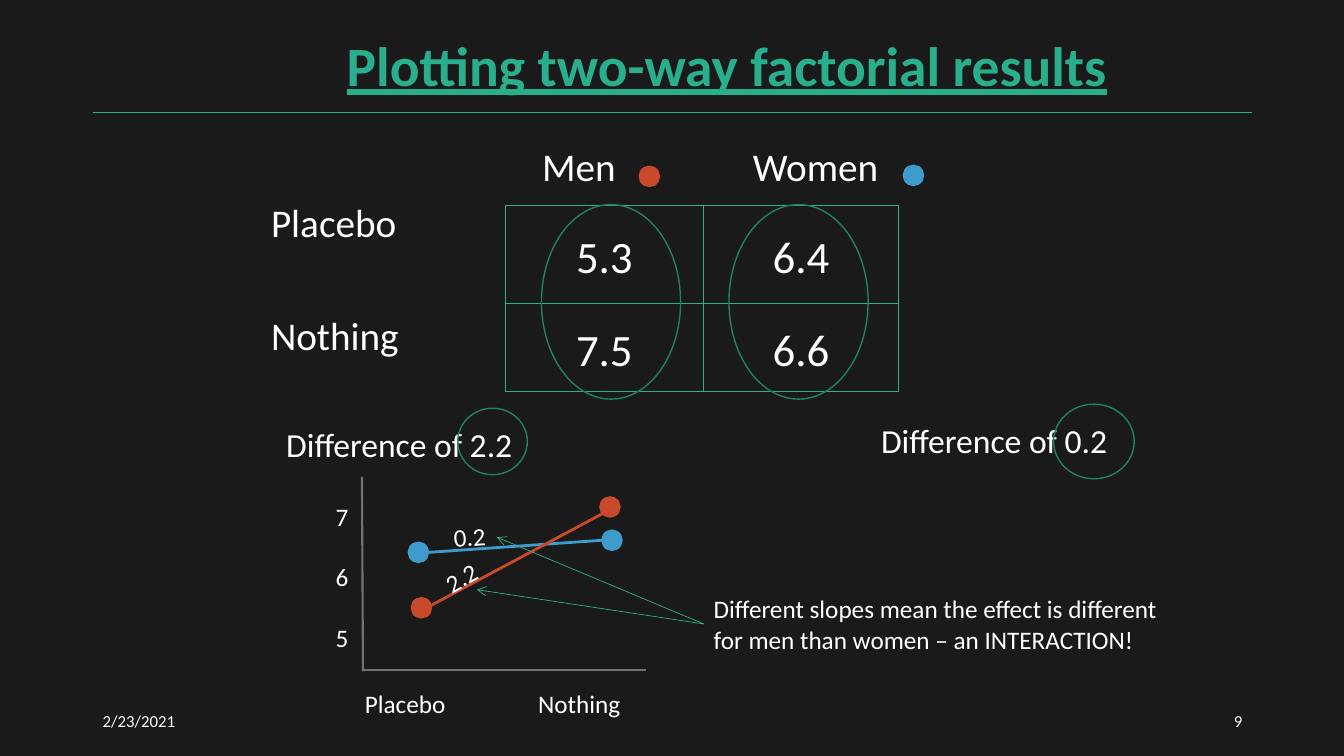
import pptx
import pptx.util
import pptx.dml.color
import pptx.enum.shapes
import pptx.enum.text
import pptx.oxml
import pptx.oxml.ns

SCALE = 9144  # EMU in one px, at 100 px to the inch
ALIGN = pptx.enum.text.PP_ALIGN
ANCHOR = pptx.enum.text.MSO_ANCHOR
SHAPE = pptx.enum.shapes.MSO_SHAPE


class Theme:
    font = "Calibri"
    ground, ink = "1A1A1A", "FFFFFF"
    green, ring, axis = "29AF8C", "1E8168", "767171"
    men, women = "C9492C", "3D9CCC"
    title, value, head, gap, note, foot = 39.6, 32, 28, 24, 18, 12
    thin, edge, frame, trend = 0.5, 1, 1.5, 2


def px(count):
    return pptx.util.Emu(count * SCALE)


def color(code):
    return pptx.dml.color.RGBColor.from_string(code)


def write(frame, text, size=Theme.note, ink=Theme.ink, bold=False, under=False,
          align=ALIGN.LEFT, anchor=ANCHOR.TOP, space=1.0):
    frame.text = text
    frame.word_wrap = True
    frame.vertical_anchor = anchor
    para = frame.paragraphs[0]
    para.alignment = align
    para.line_spacing = space
    font = para.font
    font.name, font.size = Theme.font, pptx.util.Pt(size)
    font.bold, font.underline = bold, under
    font.color.rgb = color(ink)


def label(slide, text, left, top, width, height, turn=0, **style):
    box = slide.shapes.add_textbox(px(left), px(top), px(width), px(height))
    box.rotation = turn
    write(box.text_frame, text, **style)


def line(slide, start, end, ink=Theme.green, weight=Theme.thin, arrow=False):
    link = slide.shapes.add_connector(
        pptx.enum.shapes.MSO_CONNECTOR.STRAIGHT, *map(px, start + end))
    link.line.color.rgb = color(ink)
    link.line.width = pptx.util.Pt(weight)
    if arrow:
        tail = pptx.oxml.ns.qn("a:tailEnd")
        link.line._get_or_add_ln().makeelement(tail)
        link.line._get_or_add_ln().append(pptx.oxml.parse_xml(
            f'<a:tailEnd {pptx.oxml.ns.nsdecls("a")} type="arrow"/>'))
    link._element.spPr.append(pptx.oxml.parse_xml(
        f'<a:effectLst {pptx.oxml.ns.nsdecls("a")}/>'))


def oval(slide, left, top, width, height, ink, solid=False):
    shape = slide.shapes.add_shape(
        SHAPE.OVAL, px(left), px(top), px(width), px(height))
    shape.shadow.inherit = False
    shape.line.color.rgb = color(ink)
    shape.line.width = pptx.util.Pt(Theme.edge)
    if solid:
        shape.fill.solid()
        shape.fill.fore_color.rgb = color(ink)
    else:
        shape.fill.background()


def dot(slide, left, top, ink):
    oval(slide, left, top, 20, 20, ink, solid=True)


def border(cell):
    """Draw a thin green line on all four sides of a cell."""
    props = cell._tc.get_or_add_tcPr()
    width = pptx.util.Pt(Theme.thin)
    for place, side in enumerate(("lnL", "lnR", "lnT", "lnB")):
        props.insert(place, pptx.oxml.parse_xml(
            f'<a:{side} {pptx.oxml.ns.nsdecls("a")} w="{width}"><a:solidFill>'
            f'<a:srgbClr val="{Theme.green}"/></a:solidFill></a:{side}>'))


def table(slide, left, top, widths, heights, rows):
    grid = slide.shapes.add_table(
        len(rows), len(widths), px(left), px(top),
        px(sum(widths)), px(sum(heights))).table
    grid.first_row = grid.horz_banding = False
    for column, width in zip(grid.columns, widths):
        column.width = px(width)
    for row, height, texts in zip(grid.rows, heights, rows):
        row.height = px(height)
        for cell, text in zip(row.cells, texts):
            write(cell.text_frame, text, size=Theme.value, align=ALIGN.CENTER)
            cell.vertical_anchor = ANCHOR.MIDDLE
            cell.margin_top = px(10)
            cell.margin_bottom = px(2)
            cell.fill.background()
            border(cell)


def top_part(slide):
    line(slide, (92, 111), (1242, 111))
    title = slide.shapes.title
    title.left, title.top, title.width, title.height = map(px, (276, 30, 890, 76))
    title.fill.solid()
    title.fill.fore_color.rgb = color(Theme.ground)
    write(title.text_frame, "Plotting two-way factorial results",
          size=Theme.title, ink=Theme.green, bold=True, under=True,
          align=ALIGN.CENTER, anchor=ANCHOR.MIDDLE, space=0.9)


def means(slide):
    for text, left, top in (("Men", 528, 136), ("Women", 737, 136),
                            ("Placebo", 259, 192), ("Nothing", 259, 304)):
        label(slide, text, left, top, 160, 57, size=Theme.head)
    dot(slide, 634, 165, Theme.men)
    dot(slide, 896, 164, Theme.women)
    table(slide, 501, 204, (197, 193), (97, 87), (("5.3", "6.4"), ("7.5", "6.6")))
    for left in (537, 723):
        oval(slide, left, 203, 138, 193, Theme.ring)
    label(slide, "Difference of 2.2", 274, 416, 275, 50, size=Theme.gap)
    label(slide, "Difference of 0.2", 864, 412, 294, 50, size=Theme.gap)
    oval(slide, 454, 405, 69, 66, Theme.ring)
    oval(slide, 1045, 401, 80, 74, Theme.ring)


def plot(slide):
    """Sketch the two slopes, which are not drawn to scale."""
    line(slide, (359, 473), (360, 666), Theme.axis, Theme.frame)
    line(slide, (641, 665), (359, 665), Theme.axis, Theme.frame)
    for step, mark in enumerate("765"):
        label(slide, mark, 323, 492 + 60 * step, 58, 40)
    for text, left in (("Placebo", 352), ("Nothing", 524)):
        label(slide, text, left, 678, 120, 40)
    for left, top, ink in ((408, 593, Theme.men), (595, 493, Theme.men),
                           (405, 538, Theme.women), (597, 526, Theme.women)):
        dot(slide, left, top, ink)
    line(slide, (425, 548), (597, 536), Theme.women, Theme.trend)
    line(slide, (410, 610), (606, 505), Theme.men, Theme.trend)
    label(slide, "2.2", 429, 543, 93, 40, turn=331.1)
    label(slide, "0.2", 440, 511, 93, 40, turn=355.8)
    for tip in ((473, 585), (493, 533)):
        line(slide, (698, 619), tip, arrow=True)
    label(slide, "Different slopes mean the effect is different "
          "for men than women – an INTERACTION!", 698, 584, 471, 71)


def main():
    deck = pptx.Presentation()
    deck.slide_width, deck.slide_height = px(1333), px(750)
    slide = deck.slides.add_slide(deck.slide_layouts[5])
    slide.background.fill.solid()
    slide.background.fill.fore_color.rgb = color(Theme.ground)
    top_part(slide)
    means(slide)
    plot(slide)
    for text, left, align in (("2/23/2021", 92, ALIGN.LEFT), ("9", 942, ALIGN.RIGHT)):
        label(slide, text, left, 695, 300, 40, size=Theme.foot,
              align=align, anchor=ANCHOR.MIDDLE)
    deck.save("out.pptx")


if __name__ == "__main__":
    main()
